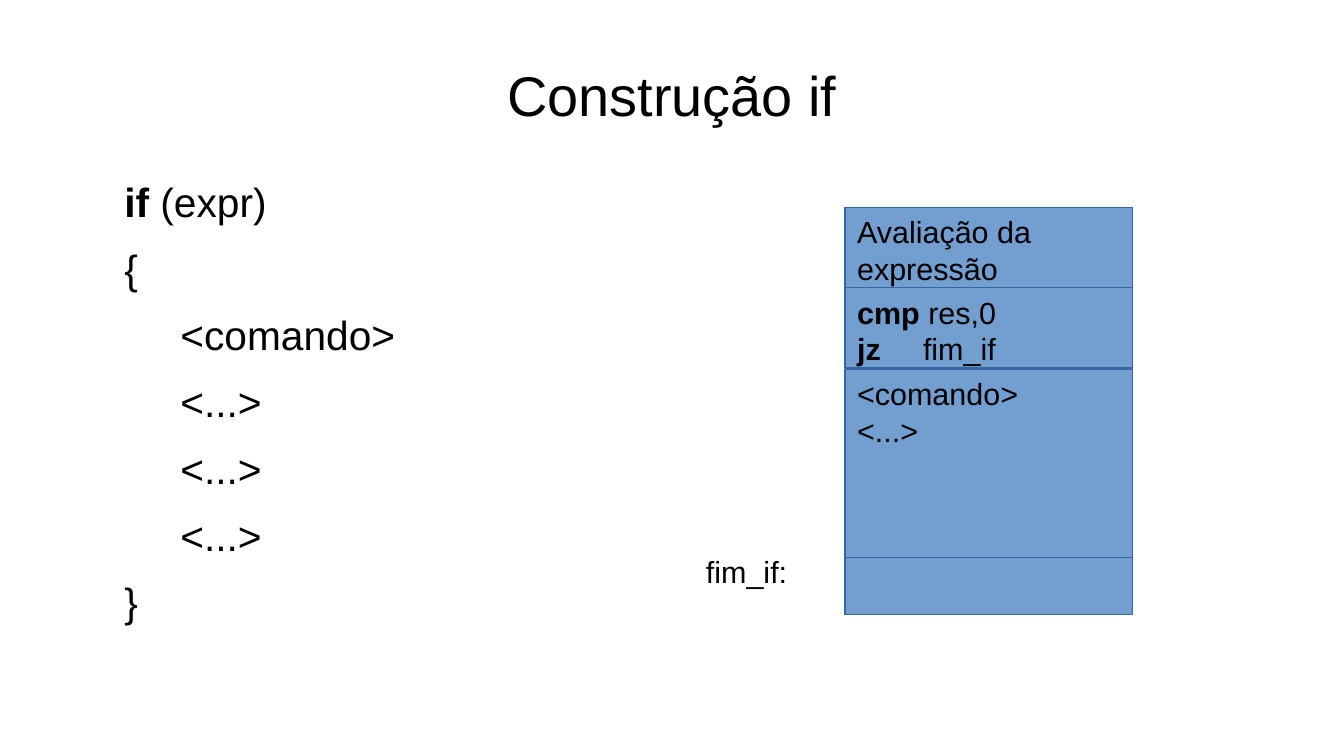
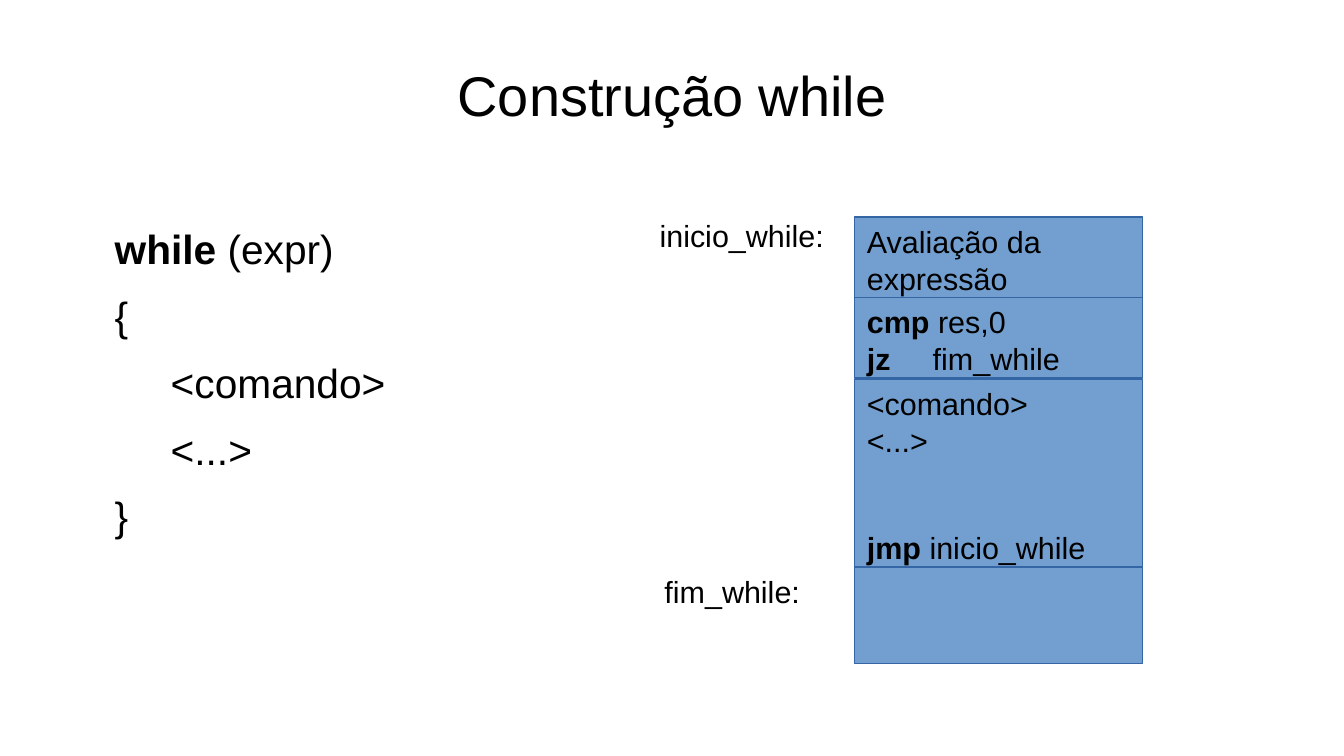
import pptx
import pptx.dml.color
import pptx.enum.shapes
import pptx.enum.text
import pptx.oxml
import pptx.oxml.ns
import pptx.util
from pptx.util import Inches

FONT = "Arial"
BLACK = "000000"
BLOCK_FILL = "729FCF"
BLOCK_LINE = "3465A4"
TITLE_SIZE, CODE_SIZE, BLOCK_SIZE = 33, 24, 18
CODE_MARGIN, CODE_STEP = 0.47, 0.46
OPERAND_TAB = 0.54
BLOCK_WIDTH = 2.36
SHORT_BLOCK, LONG_BLOCK = 0.66, 1.54
BODY_GAP = 0.01
TWO_LINES = 42  # points left open before the jump
ALIGN = pptx.enum.text.PP_ALIGN
ANCHOR = pptx.enum.text.MSO_ANCHOR


def color(hex_code):
    """Turn a hex string into a colour."""
    return pptx.dml.color.RGBColor.from_string(hex_code)


def set_insets(frame, horizontal, vertical):
    """Wrap the text and set its inner margins in inches."""
    frame.word_wrap = True
    frame.margin_left = frame.margin_right = Inches(horizontal)
    frame.margin_top = frame.margin_bottom = Inches(vertical)


def add_tab_stop(paragraph, position):
    """Give the paragraph one left tab stop."""
    namespace = pptx.oxml.ns.nsdecls("a")
    paragraph._p.get_or_add_pPr().append(pptx.oxml.parse_xml(
        f'<a:tabLst {namespace}><a:tab pos="{Inches(position)}" algn="l"/></a:tabLst>'))


def write_lines(frame, lines, size, align=ALIGN.LEFT):
    """Write (keyword, rest) lines, keyword in bold; return the paragraphs."""
    paragraphs = []
    for index, (keyword, rest) in enumerate(lines):
        paragraph = frame.add_paragraph() if index else frame.paragraphs[0]
        paragraph.alignment = align
        paragraph.font.name = FONT
        paragraph.font.size = pptx.util.Pt(size)
        paragraph.font.color.rgb = color(BLACK)
        if keyword:
            run = paragraph.add_run()
            run.text = keyword
            run.font.bold = True
        if rest:
            paragraph.add_run().text = rest
        if "\t" in rest:
            add_tab_stop(paragraph, OPERAND_TAB)
        paragraphs.append(paragraph)
    return paragraphs


def add_text_box(slide, left, top, width, height, inset=(0, 0)):
    """Add an empty text box and return its text frame."""
    frame = slide.shapes.add_textbox(
        Inches(left), Inches(top), Inches(width), Inches(height)).text_frame
    set_insets(frame, *inset)
    return frame


def add_title(slide, text):
    """Add the centred slide title."""
    frame = add_text_box(slide, 0.55, 0.25, 9.92, 1.04)
    frame.vertical_anchor = ANCHOR.MIDDLE
    write_lines(frame, [("", text)], TITLE_SIZE, ALIGN.CENTER)


def add_code(slide, left, top, width, height, keyword, commands):
    """Add the source code, with the commands indented between braces."""
    frame = add_text_box(slide, left, top, width, height)
    lines = [(keyword, " (expr)"), ("", "{")]
    lines += [("", command) for command in commands] + [("", "}")]
    for paragraph, (_, text) in zip(write_lines(frame, lines, CODE_SIZE), lines):
        step = CODE_STEP if text in commands else 0
        properties = paragraph._p.get_or_add_pPr()
        properties.set("marL", str(Inches(CODE_MARGIN + step)))
        properties.set("indent", "0")
        paragraph.space_before = pptx.util.Pt(10.6)


def add_label(slide, left, top, text):
    """Add a jump label beside the blocks."""
    frame = add_text_box(slide, left, top, 1.6, 0.47, (0.1, 0.05))
    write_lines(frame, [("", text)], BLOCK_SIZE)


def add_block(slide, left, top, height, lines):
    """Add one block of generated code; return its paragraphs."""
    shape = slide.shapes.add_shape(
        pptx.enum.shapes.MSO_SHAPE.RECTANGLE,
        Inches(left), Inches(top), Inches(BLOCK_WIDTH), Inches(height))
    shape.shadow.inherit = False
    shape.fill.solid()
    shape.fill.fore_color.rgb = color(BLOCK_FILL)
    shape.line.color.rgb = color(BLOCK_LINE)
    shape.line.width = pptx.util.Pt(0)
    set_insets(shape.text_frame, 0.1, 0.05)
    shape.text_frame.vertical_anchor = ANCHOR.TOP
    return write_lines(shape.text_frame, lines, BLOCK_SIZE)


def add_block_stack(slide, left, top, end_label, end_height, jump=""):
    """Stack evaluation, test, body and end blocks from top to bottom."""
    body = [("", "<comando>"), ("", "<...>")]
    if jump:
        body.append(("jmp", f" {jump}"))
    test_top = top + SHORT_BLOCK
    body_top = test_top + SHORT_BLOCK + BODY_GAP
    add_block(slide, left, top, SHORT_BLOCK, [("", "Avaliação da expressão")])
    add_block(slide, left, test_top, SHORT_BLOCK,
              [("cmp", " res,0"), ("jz", f"\t{end_label}")])
    paragraphs = add_block(slide, left, body_top, LONG_BLOCK, body)
    if jump:
        paragraphs[-1].space_before = pptx.util.Pt(TWO_LINES)
    add_block(slide, left, body_top + LONG_BLOCK, end_height, [])


def add_slide(presentation, title):
    """Add a blank slide with its title."""
    slide = presentation.slides.add_slide(presentation.slide_layouts[6])
    add_title(slide, title)
    return slide


def main():
    """Build both slides and save them."""
    presentation = pptx.Presentation()
    presentation.slide_width = Inches(11.02)
    presentation.slide_height = Inches(6.2)

    slide = add_slide(presentation, "Construção if")
    add_code(slide, 0.55, 1.45, 3.07, 3.6, "if", ["<comando>"] + ["<...>"] * 3)
    add_block_stack(slide, 6.93, 1.7, "fim_if", 0.47)
    add_label(slide, 5.69, 4.49, "fim_if:")

    slide = add_slide(presentation, "Construção while")
    add_code(slide, 0.47, 1.84, 3.15, 3.04, "while", ["<comando>", "<...>"])
    add_block_stack(slide, 7.01, 1.78, "fim_while", 0.79, "inicio_while")
    add_label(slide, 5.31, 1.73, "inicio_while:")
    add_label(slide, 5.35, 4.65, "fim_while:")

    presentation.save("out.pptx")


main()
